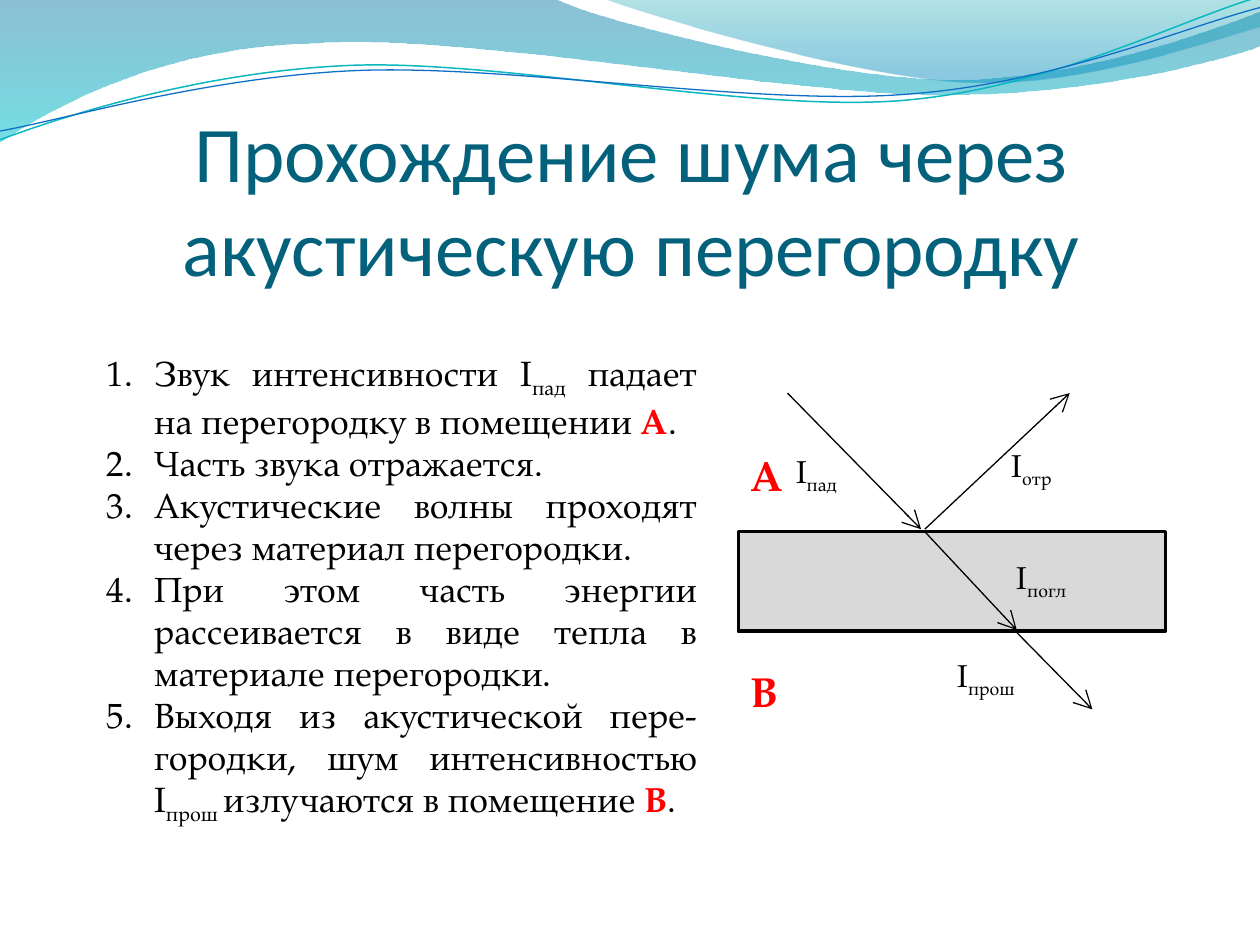
from math import cos, radians, sin
from lxml.etree import SubElement
from pptx import Presentation
from pptx.dml.color import RGBColor
from pptx.enum.shapes import MSO_CONNECTOR as CONN, MSO_SHAPE as SHAPE
from pptx.enum.text import MSO_ANCHOR as ANCHOR, MSO_AUTO_SIZE as FIT, PP_ALIGN as ALIGN
from pptx.oxml.ns import qn
from pptx.util import Inches, Pt

SERIF = "TeX Gyre Pagella"
BLACK, RED, TEAL = "000000", "FF0000", "04617B"
TILT = 2.7
STYLES = {
    "plain": {},
    "sub": {"baseline": -25000},
    "room": {"bold": True, "color": RED},
}
ITEMS = [
    [("Звук интенсивности I", "plain"), ("пад", "sub"),
     (" падает на перегородку в помещении ", "plain"), ("A", "room"), (".", "plain")],
    [("Часть звука отражается.", "plain")],
    [("Акустические волны проходят через материал перегородки.", "plain")],
    [("При этом часть энергии рассеивается в виде тепла в материале перегородки.", "plain")],
    [("Выходя из акустической пере-городки, шум интенсивностью I", "plain"),
     ("прош ", "sub"), ("излучаются в помещение ", "plain"), ("B", "room"), (".", "plain")],
]
BANDS = [
    ((-0.01, -0.01, 10.02, 1.14),
     [(0, 0), (4.4, -0.01), (4.76, 0.17, 6.64, 0.63, 7.58, 0.63),
      (8.53, 0.63, 9.58, 0.26, 10, 0.09), (10.01, 0.36),
      (9.83, 0.44, 8.7, 0.76, 7.46, 0.75), (6.22, 0.75, 3.82, 0.28, 2.57, 0.34),
      (1.29, 0.36, 0.46, 0.83, -0.01, 1.13), (0, 0)],
     [(0, "0074A1", 45), (1, "00C6CF", 55)]),
    ((4.79, -0.01, 5.21, 0.7),
     [(4.79, -0.01), (5.09, 0.11, 6.82, 0.62, 7.69, 0.65),
      (8.56, 0.69, 9.61, 0.32, 10, 0.21), (10, 0), (4.79, -0.01)],
     [(0, "00A1A9", 30), (0.8, "008BBF", 45)]),
]
STRANDS = [
    ((-0.02, 0.22, 10.02, 0.71),
     [(0, 1.11), (0.48, 0.93, 1.58, 0.57, 2.77, 0.52),
      (3.95, 0.47, 5.93, 0.89, 7.13, 0.8), (8.33, 0.71, 9.38, 0.15, 9.98, -0.02)],
     "0AB8BF", 0.85),
    ((-0.02, 0.3, 10.03, 0.58),
     [(0, 1.04), (0.47, 0.96, 1.64, 0.61, 2.83, 0.56),
      (4.03, 0.51, 5.97, 0.84, 7.17, 0.75), (8.36, 0.67, 9.41, 0.21, 10, 0.06)],
     "0F6FC6", 0.75),
]


def rgb(value):
    """Turn a hex string into a colour."""
    return RGBColor.from_string(value)


def add_runs(p, runs, size, font=SERIF, color=BLACK):
    """Add styled runs to a paragraph."""
    for text, style in runs:
        r = p.add_run()
        r.text = text
        look = {"name": font, "size": Pt(size), "color": color, "bold": False, **STYLES[style]}
        r.font.color.rgb = rgb(look.pop("color"))
        baseline = look.pop("baseline", None)
        for key, value in look.items():
            setattr(r.font, key, value)
        if baseline:
            r.font._element.set("baseline", str(baseline))


def add_box(s, left, top, width, height, **frame):
    """Add a wrapping text box and return its text frame."""
    tf = s.shapes.add_textbox(*map(Inches, (left, top, width, height))).text_frame
    for key, value in {"word_wrap": True, "auto_size": FIT.SHAPE_TO_FIT_TEXT, **frame}.items():
        setattr(tf, key, value)
    return tf


def turn(x, y, angle):
    """Rotate a point about zero by an angle in degrees."""
    c, n = cos(radians(angle)), sin(radians(angle))
    return x * c - y * n, x * n + y * c


def add_curve(s, left, top, box, steps, tilt=0):
    """Add a freeform of lines and cubic curves, tilted back about its centre."""
    x0, y0, width, height = box
    builder = s.shapes.build_freeform(Inches(left + x0), Inches(top + y0))
    builder.add_line_segments([(Inches(left + x0 + width), Inches(top + y0 + height))], close=False)
    sp = builder.convert_to_shape()
    sp.shadow.inherit = False
    sp.rotation = -tilt
    outline = next(sp._element.iter(qn("a:path")))
    for child in list(outline):
        outline.remove(child)
    for i, step in enumerate(steps):
        tag = "a:cubicBezTo" if len(step) == 6 else "a:lnTo" if i else "a:moveTo"
        node = SubElement(outline, qn(tag))
        for x, y in zip(step[::2], step[1::2]):
            x, y = turn(x - x0 - width / 2, y - y0 - height / 2, tilt)
            pt = SubElement(node, qn("a:pt"))
            pt.set("x", str(Inches(x + width / 2)))
            pt.set("y", str(Inches(y + height / 2)))
    if steps[0] == steps[-1]:
        SubElement(outline, qn("a:close"))
    return sp


def add_waves(s, left, top):
    """Draw the translucent bands and thin strands of the header."""
    for box, steps, stops in BANDS:
        sp = add_curve(s, left, top, box, steps)
        sp.line.fill.background()
        sp.fill.gradient()
        sp.fill.gradient_angle = 270
        for stop, (position, color, _) in zip(sp.fill.gradient_stops, stops):
            stop.position = position
            stop.color.rgb = rgb(color)
        for clr, (_, _, opacity) in zip(sp._element.spPr.iter(qn("a:srgbClr")), stops):
            SubElement(clr, qn("a:alpha")).set("val", str(opacity * 1000))
    for box, steps, color, weight in STRANDS:
        sp = add_curve(s, left, top, box, steps, TILT)
        sp.fill.background()
        sp.line.color.rgb = rgb(color)
        sp.line.width = Pt(weight)


def add_title(s, left, top, width, height):
    """Add the centred slide title."""
    tf = add_box(s, left, top, width, height, vertical_anchor=ANCHOR.BOTTOM, margin_left=0,
                 margin_right=0, margin_top=Inches(0.05), margin_bottom=0, auto_size=FIT.NONE)
    p = tf.paragraphs[0]
    p.alignment = ALIGN.CENTER
    add_runs(p, [("Прохождение шума через акустическую перегородку", "plain")],
             45, "Calibri", TEAL)


def add_steps(s, left, top, width, height):
    """Add the numbered, justified list."""
    tf = add_box(s, left, top, width, height)
    indent = Inches(3 / 8)
    for i, runs in enumerate(ITEMS):
        p = tf.add_paragraph() if i else tf.paragraphs[0]
        p.alignment = ALIGN.JUSTIFY
        pPr = p._p.get_or_add_pPr()
        pPr.set("marL", str(indent))
        pPr.set("indent", str(-indent))
        SubElement(pPr, qn("a:buFont")).set("typeface", "+mj-lt")
        SubElement(pPr, qn("a:buAutoNum")).set("type", "arabicPeriod")
        add_runs(p, runs, 20)


def add_ray(s, x1, y1, x2, y2):
    """Add a thin line with a large open arrowhead."""
    ray = s.shapes.add_connector(CONN.STRAIGHT, *map(Inches, (x1, y1, x2, y2)))
    ray.line.color.rgb = rgb(BLACK)
    ray.line.width = Pt(0.75)
    head = SubElement(ray.line._get_or_add_ln(), qn("a:tailEnd"))
    for key, value in {"type": "arrow", "w": "lg", "len": "lg"}.items():
        head.set(key, value)
    SubElement(ray._element.spPr, qn("a:effectLst"))


def add_diagram(s, left, top, width):
    """Draw the partition, the sound rays and their labels."""
    wall = s.shapes.add_shape(SHAPE.RECTANGLE, *map(Inches, (left, top + 1.1, width, 0.79)))
    wall.shadow.inherit = False
    wall.fill.solid()
    wall.fill.fore_color.rgb = rgb("D9D9D9")
    wall.line.color.rgb = rgb(BLACK)
    wall.line.width = Pt(2)
    for x1, y1, x2, y2 in [(0.39, 0, 1.45, 1.08), (1.48, 1.08, 2.63, 0),
                           (1.48, 1.1, 2.21, 1.88), (2.19, 1.88, 2.81, 2.51)]:
        add_ray(s, left + x1, top + y1, left + x2, top + y2)
    for name, x, y, w in [("пад", 0.36, 0.42, 0.65), ("отр", 2.07, 0.37, 0.65),
                          ("погл", 2.11, 1.26, 0.65), ("прош", 1.64, 2.04, 0.91)]:
        tf = add_box(s, left + x, top + y, w, 0.4)
        add_runs(tf.paragraphs[0], [("I", "plain"), (name, "sub")], 18)
    for room, y in [("B", 2.11), ("A", 0.4)]:
        tf = add_box(s, left, top + y, 0.51, 0.5)
        add_runs(tf.paragraphs[0], [(room, "room")], 24)


def main():
    """Build and save the slide."""
    prs = Presentation()
    prs.slide_width, prs.slide_height = Inches(10), Inches(7.5)
    s = prs.slides.add_slide(prs.slide_layouts[6])
    add_waves(s, 0, 0)
    add_title(s, 0.51, 1.07, 9, 1.25)
    add_diagram(s, 5.86, 3.12, 3.39)
    add_steps(s, 0.75, 2.74, 4.88, 3.8)
    prs.save("out.pptx")


if __name__ == "__main__":
    main()
